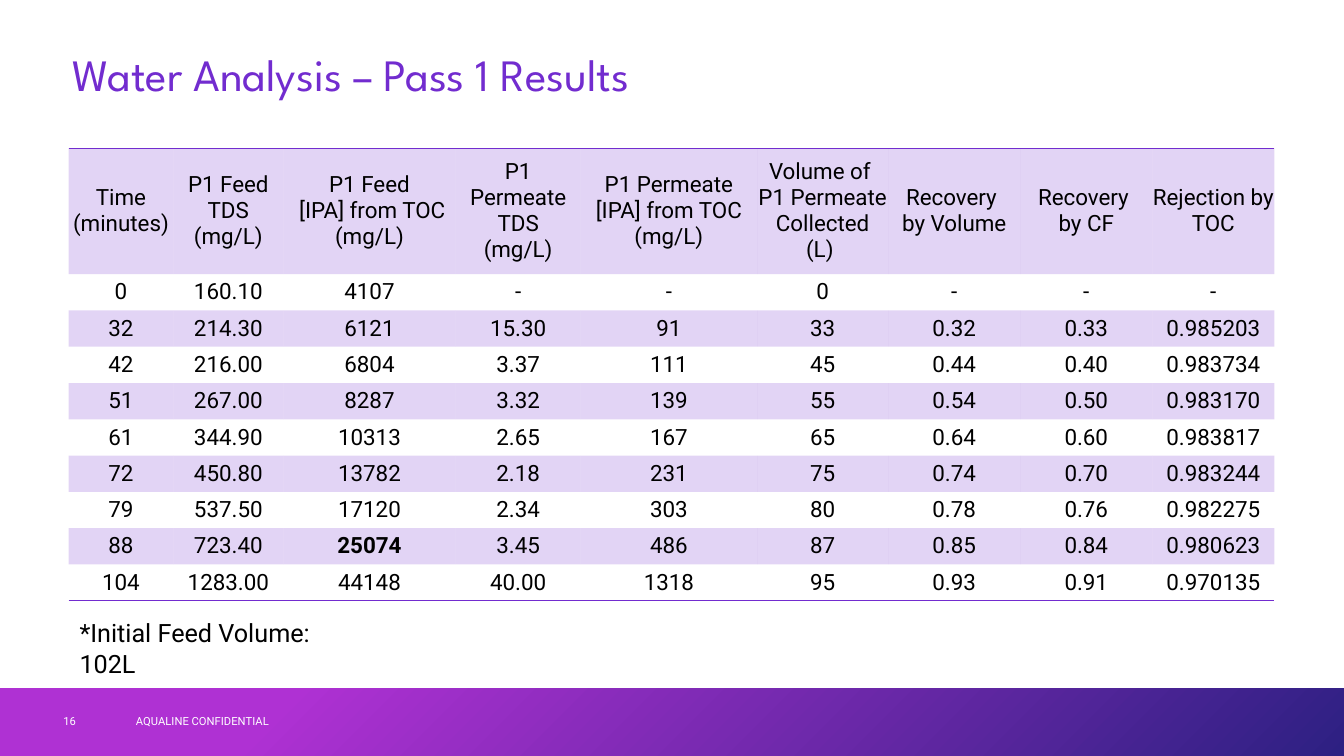
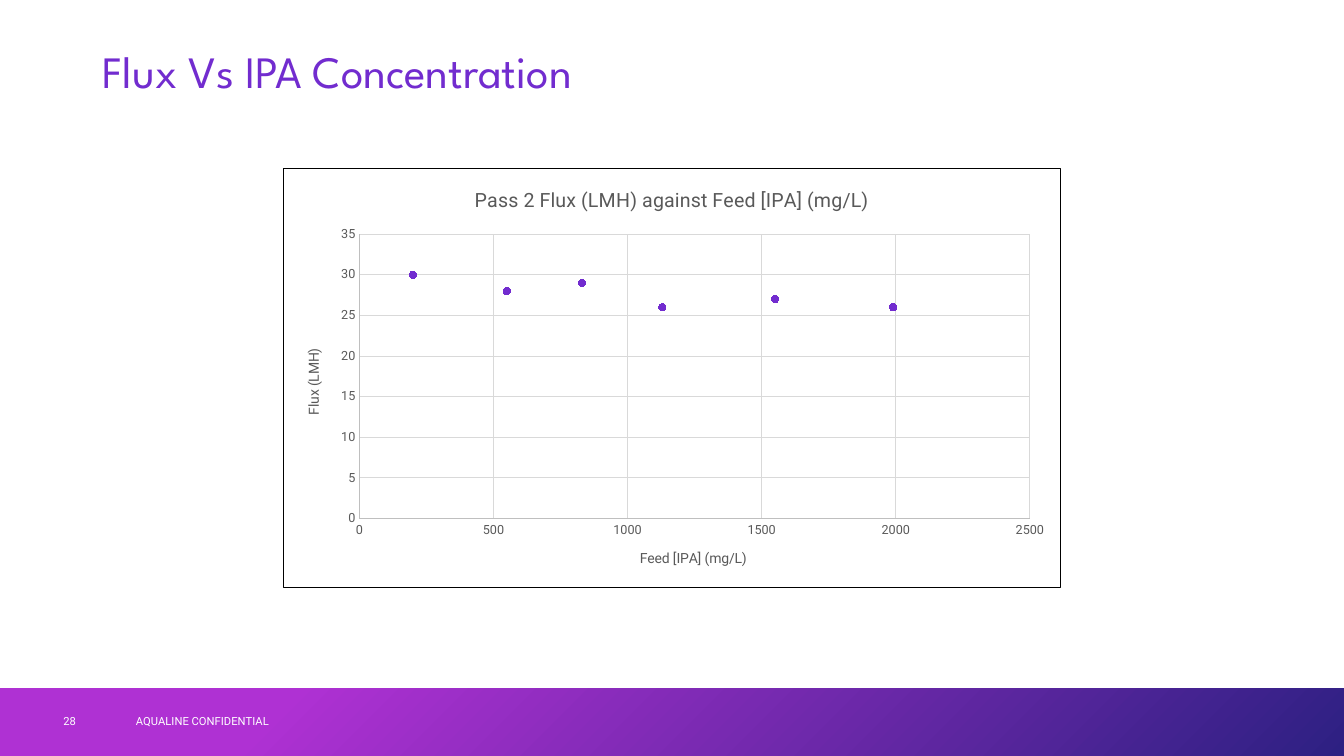
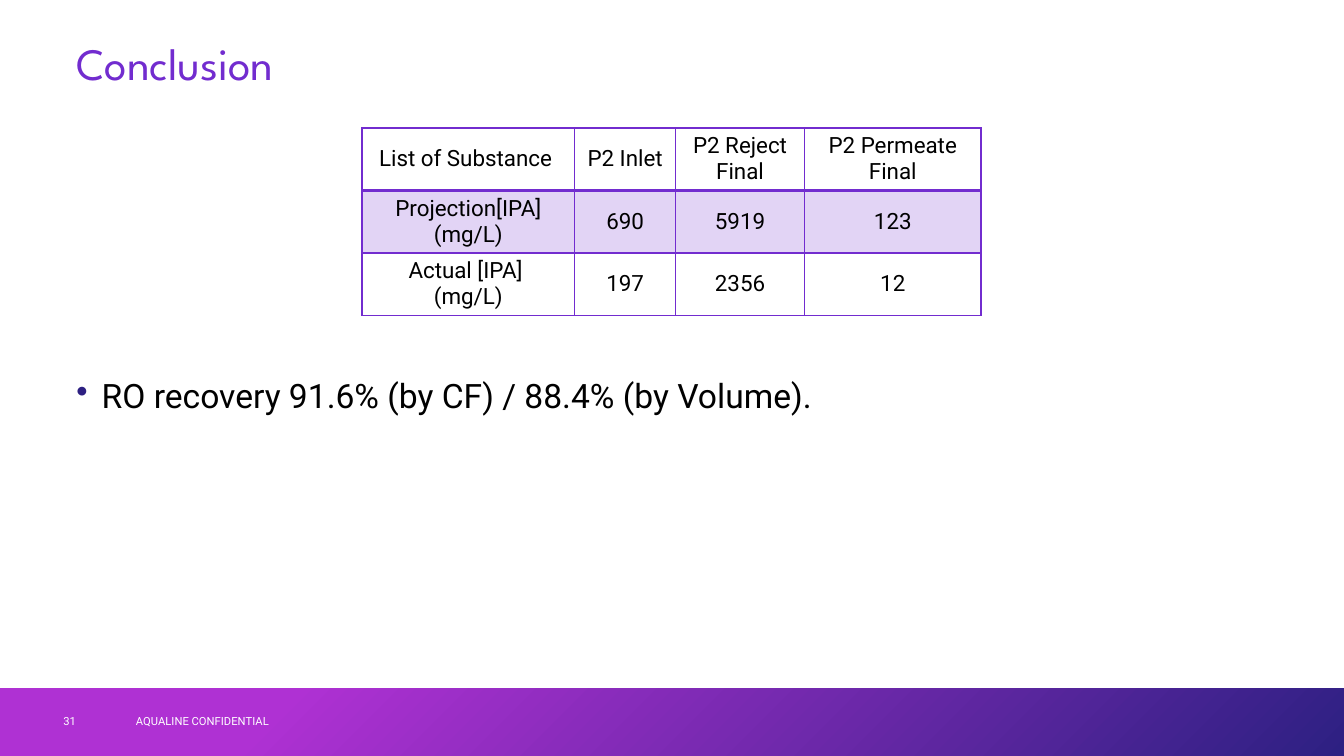
from dataclasses import dataclass

from lxml import etree
from pptx import Presentation
from pptx.chart.data import XyChartData
from pptx.dml.color import RGBColor
from pptx.enum.chart import XL_CHART_TYPE, XL_MARKER_STYLE, XL_TICK_MARK
from pptx.enum.shapes import MSO_SHAPE
from pptx.enum.text import MSO_ANCHOR, PP_ALIGN
from pptx.oxml import parse_xml
from pptx.oxml.ns import nsdecls, qn
from pptx.util import Inches, Pt

SCATTER = XL_CHART_TYPE.XY_SCATTER
CIRCLE = XL_MARKER_STYLE.CIRCLE
NO_TICK = XL_TICK_MARK.NONE
RECT = MSO_SHAPE.RECTANGLE
TOP, MIDDLE = MSO_ANCHOR.TOP, MSO_ANCHOR.MIDDLE
CENTER = PP_ALIGN.CENTER
NO_TABLE_STYLE = "{2D5ABB26-0587-4C30-8999-92F81FD0307C}"


@dataclass(frozen=True)
class Theme:
    purple: str = "722CCF"
    magenta: str = "AF31D3"
    navy: str = "2D2082"
    black: str = "000000"
    white: str = "FFFFFF"
    chart_text: str = "595959"
    axis: str = "BFBFBF"
    grid: str = "D9D9D9"
    tint_alpha: int = 20
    title_font: str = "League Spartan"
    body_font: str = "Roboto"
    title_size: int = 32
    bullet_size: int = 24
    note_size: int = 18
    table_size: int = 16
    chart_title_size: int = 14
    axis_title_size: int = 10
    tick_size: int = 9
    footer_size: int = 8


def rgb(color):
    return RGBColor.from_string(color)


class Deck:
    footer = "AQUALINE CONFIDENTIAL"

    def __init__(self, theme):
        self.theme = theme
        self.prs = Presentation()
        self.prs.slide_width = Inches(13.33)
        self.prs.slide_height = Inches(7.5)
        self.s = None

    def style(self, font, size, color, name=None, bold=False):
        font.name = name or self.theme.body_font
        font.size = Pt(size)
        font.bold = bold
        font.color.rgb = rgb(color)

    def slide(self, title, number, left, top):
        """New slide with its title, gradient band and footer."""
        t = self.theme
        self.s = self.prs.slides.add_slide(self.prs.slide_layouts[6])
        self.band()
        p = self.text(title, left, top, 11.5, 0.67, t.title_size, t.purple,
                      t.title_font, MIDDLE)
        p.line_spacing = 0.9
        for text, x, width in ((self.footer, 1.25, 4.5), (str(number), 0.53, 0.72)):
            self.text(text, x, 6.95, width, 0.4, t.footer_size, t.white, anchor=MIDDLE)

    def band(self):
        sp = self.s.shapes.add_shape(RECT, 0, Inches(6.83), self.prs.slide_width, Inches(0.67))
        sp.shadow.inherit = False
        sp.line.fill.background()
        sp.fill.gradient()
        sp.fill.gradient_angle = 315
        stops = ((0.21, self.theme.magenta), (1, self.theme.navy))
        for stop, (position, color) in zip(sp.fill.gradient_stops, stops):
            stop.position = position
            stop.color.rgb = rgb(color)

    def text(self, text, left, top, width, height, size, color, name=None, anchor=TOP):
        box = self.s.shapes.add_textbox(Inches(left), Inches(top), Inches(width), Inches(height))
        tf = box.text_frame
        tf.word_wrap = True
        tf.vertical_anchor = anchor
        p = tf.paragraphs[0]
        p.text = text
        self.style(p.font, size, color, name)
        return p

    def bullet(self, text, left, top, width):
        t = self.theme
        p = self.text(text, left, top, width, 0.5, t.bullet_size, t.black)
        pPr = p._p.get_or_add_pPr()
        indent = Inches(0.25)
        pPr.set("marL", str(indent))
        pPr.set("indent", str(-indent))
        color = parse_xml(f'<a:buClr {nsdecls("a")}><a:srgbClr val="{t.navy}"/></a:buClr>')
        char = parse_xml(f'<a:buChar {nsdecls("a")} char="•"/>')
        pPr.insert(0, color)
        color.addnext(char)

    def table(self, rows, left, top, widths, heights, tinted, borders, margins, bold=()):
        """borders(row) gives the line widths of a row's cells by side: L, R, T, B.

        margins are the side margin and the top and bottom margin of each cell.
        """
        frame = self.s.shapes.add_table(len(rows), len(widths), Inches(left), Inches(top),
                                        Inches(sum(widths)), Inches(sum(heights)))
        table = frame.table
        table.first_row = table.horz_banding = False
        table._tbl.tblPr.find(qn("a:tableStyleId")).text = NO_TABLE_STYLE
        for column, width in zip(table.columns, widths):
            column.width = Inches(width)
        side, end = (Inches(margin) for margin in margins)
        for i, (row, height) in enumerate(zip(rows, heights)):
            table.rows[i].height = Inches(height)
            for j, text in enumerate(row):
                cell = table.cell(i, j)
                cell.margin_left = cell.margin_right = side
                cell.margin_top = cell.margin_bottom = end
                self.cell(cell, text, i in tinted, borders(i), (i, j) in bold)

    def cell(self, cell, text, tinted, borders, bold):
        t = self.theme
        cell.vertical_anchor = MIDDLE
        cell.text_frame.text = text
        for p in cell.text_frame.paragraphs:
            p.alignment = CENTER
            self.style(p.font, t.table_size, t.black, bold=bold)
        tcPr = cell._tc.get_or_add_tcPr()
        for side in "LRTB":
            if side in borders:
                tcPr.append(parse_xml(
                    f'<a:ln{side} {nsdecls("a")} w="{Pt(borders[side])}"><a:solidFill>'
                    f'<a:srgbClr val="{t.purple}"/></a:solidFill></a:ln{side}>'))
        if not tinted:
            cell.fill.background()
            return
        cell.fill.solid()
        cell.fill.fore_color.rgb = rgb(t.purple)
        color = tcPr.find(qn("a:solidFill")).find(qn("a:srgbClr"))
        etree.SubElement(color, qn("a:alpha")).set("val", str(t.tint_alpha * 1000))

    def scatter(self, title, points, left, top, width, height, x_axis, y_axis, plot):
        """Each axis is (title, maximum, step, title place); places are inches in the chart."""
        t = self.theme
        size = (width, height)
        data = XyChartData()
        series = data.add_series(title)
        for x, y in points:
            series.add_data_point(x, y)
        chart = self.s.shapes.add_chart(SCATTER, Inches(left), Inches(top), Inches(width),
                                        Inches(height), data).chart
        self.style(chart.font, t.axis_title_size, t.black)
        chart.has_legend = False
        chart.plots[0].vary_by_categories = False
        chart.has_title = True
        self.chart_title(chart.chart_title, title, t.chart_title_size)

        # Markers
        series = chart.plots[0].series[0]
        series.smooth = False
        series.format.line.fill.background()
        marker = series.marker
        marker.style, marker.size = CIRCLE, 5
        marker.format.fill.solid()
        marker.format.fill.fore_color.rgb = rgb(t.purple)
        marker.format.line.color.rgb = rgb(t.purple)

        # Axes
        for axis, setup in ((chart.category_axis, x_axis), (chart.value_axis, y_axis)):
            name, maximum, step, place = setup
            axis.minimum_scale, axis.maximum_scale, axis.major_unit = 0, maximum, step
            axis.major_tick_mark = axis.minor_tick_mark = NO_TICK
            axis.has_major_gridlines = True
            self.style(axis.tick_labels.font, t.tick_size, t.chart_text)
            for line, color in ((axis.format.line, t.axis),
                                (axis.major_gridlines.format.line, t.grid)):
                line.width = Pt(0.75)
                line.color.rgb = rgb(color)
            self.chart_title(axis.axis_title, name, t.axis_title_size)
            self.place(axis.axis_title._element, 1, place, size)
        space = chart._chartSpace
        self.place(space.chart.plotArea, 0, plot, size)

        # Frame
        space.find(qn("c:txPr")).addprevious(parse_xml(
            f'<c:spPr {nsdecls("c", "a")}><a:solidFill><a:srgbClr val="{t.white}"/></a:solidFill>'
            f'<a:ln w="{Pt(0.75)}"><a:solidFill><a:srgbClr val="{t.black}"/></a:solidFill></a:ln>'
            f'</c:spPr>'))

    def chart_title(self, title, text, size):
        p = title.text_frame.paragraphs[0]
        p.text = text
        self.style(p.font, size, self.theme.chart_text)

    @staticmethod
    def place(parent, index, place, size):
        """Manual layout: x and y, then width and height for the plot area."""
        old = parent.find(qn("c:layout"))
        if old is not None:
            parent.remove(old)
        inner = '<c:layoutTarget val="inner"/>' if len(place) == 4 else ""
        modes = '<c:xMode val="edge"/><c:yMode val="edge"/>'
        values = "".join(f'<c:{key} val="{inches / whole}"/>'
                         for key, inches, whole in zip("xywh", place, size * 2))
        parent.insert(index, parse_xml(
            f'<c:layout {nsdecls("c")}><c:manualLayout>{inner}{modes}{values}'
            f'</c:manualLayout></c:layout>'))


def main():
    theme = Theme()
    deck = Deck(theme)

    # Pass 1 results
    header = ["Time (minutes)", "P1 Feed TDS\n(mg/L)", "P1 Feed\n [IPA] from TOC\n(mg/L)",
              "P1 Permeate\nTDS\n(mg/L)", "P1 Permeate\n[IPA] from TOC\n(mg/L)",
              "Volume of \nP1 Permeate Collected\n(L) ", "Recovery \nby Volume",
              "Recovery \nby CF", "Rejection by TOC"]
    results = """\
0 160.10 4107 - - 0 - - -
32 214.30 6121 15.30 91 33 0.32 0.33 0.985203
42 216.00 6804 3.37 111 45 0.44 0.40 0.983734
51 267.00 8287 3.32 139 55 0.54 0.50 0.983170
61 344.90 10313 2.65 167 65 0.64 0.60 0.983817
72 450.80 13782 2.18 231 75 0.74 0.70 0.983244
79 537.50 17120 2.34 303 80 0.78 0.76 0.982275
88 723.40 25074 3.45 486 87 0.85 0.84 0.980623
104 1283.00 44148 40.00 1318 95 0.93 0.91 0.970135"""
    rows = [header] + [line.split() for line in results.splitlines()]
    last = len(rows) - 1
    deck.slide("Water Analysis – Pass 1 Results", 16, 0.62, 0.43)
    deck.table(rows, 0.68, 1.47, [1.04, 1.09, 1.71, 1.24, 1.75, 1.3, 1.31, 1.31, 1.21],
               [1.25] + [0.36] * last, tinted=range(0, len(rows), 2),
               borders=lambda i: {0: {"T": 1}, last: {"B": 1}}.get(i, {}),
               margins=(0, 0), bold={(8, 2)})
    deck.text("*Initial Feed Volume: 102L", 0.69, 6.08, 2.95, 0.7, theme.note_size, theme.black)

    # Flux chart
    deck.slide("Flux Vs IPA Concentration", 28, 0.92, 0.4)
    deck.scatter("Pass 2 Flux (LMH) against Feed [IPA] (mg/L)",
                 [(200, 30), (550, 28), (830, 29), (1130, 26), (1550, 27), (1990, 26)],
                 2.81, 1.67, 7.71, 4.16,
                 x_axis=("Feed [IPA] (mg/L)", 2500, 500, (3.51, 3.76)),
                 y_axis=("Flux (LMH)", 35, 5, (0.18, 1.76)),
                 plot=(0.75, 0.65, 6.66, 2.83))

    # Conclusion
    deck.slide("Conclusion", 31, 0.66, 0.32)
    deck.bullet("RO recovery 91.6% (by CF) / 88.4% (by Volume).", 0.66, 3.67, 12.02)
    deck.table([["List of Substance ", "P2 Inlet ", "P2 Reject Final", "P2 Permeate\nFinal"],
                [" Projection[IPA] \n(mg/L)", "690", "5919", "123"],
                ["Actual [IPA] \n(mg/L)", "197", "2356", "12"]],
               3.59, 1.27, [2.11, 1, 1.28, 1.75], [0.62] * 3, tinted=[1],
               borders=lambda i: {"L": 1, "R": 1, "T": 2 if i == 1 else 1,
                                  "B": 2 if i == 0 else 1},
               margins=(0.1, 0.04))

    deck.prs.save("out.pptx")


if __name__ == "__main__":
    main()
